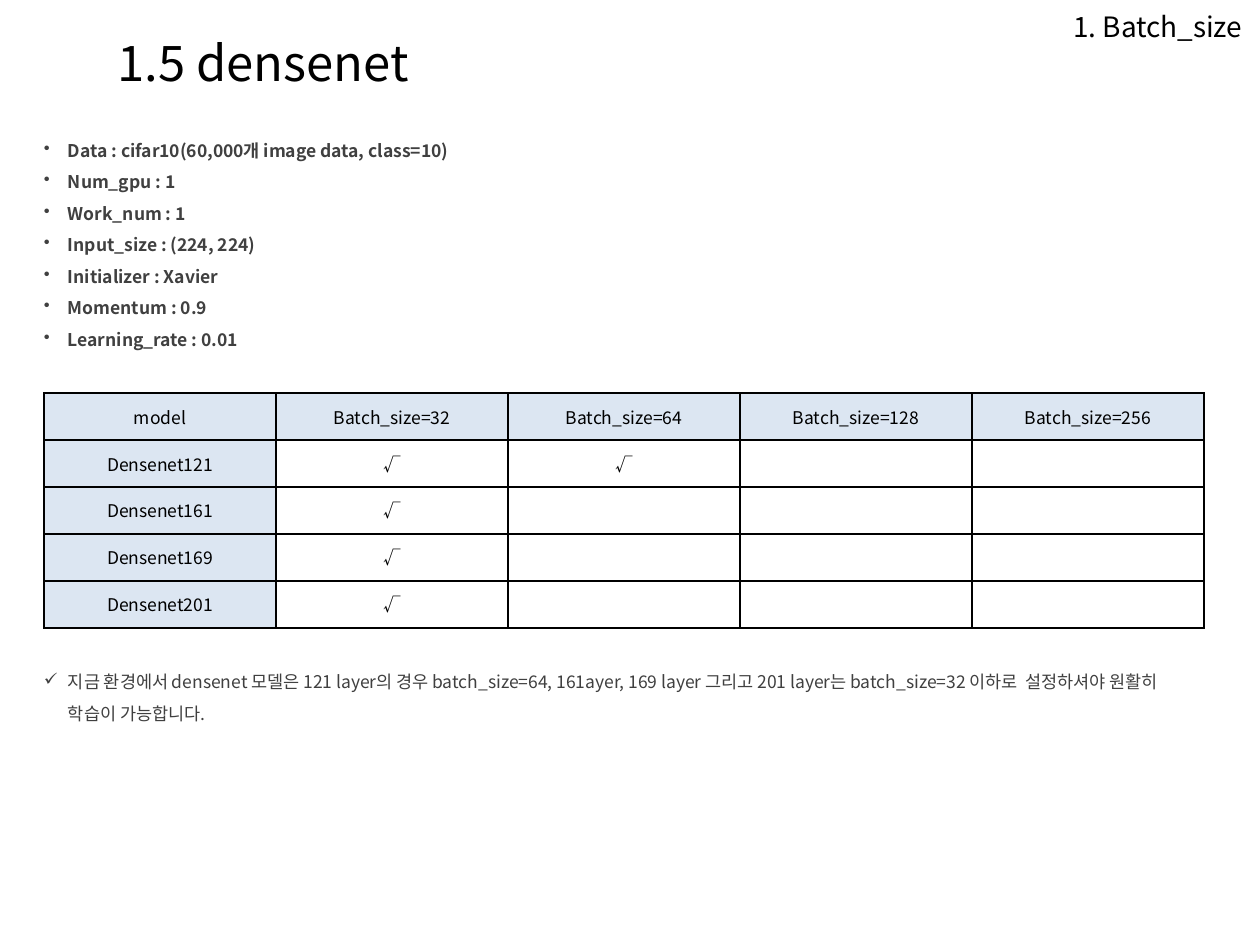
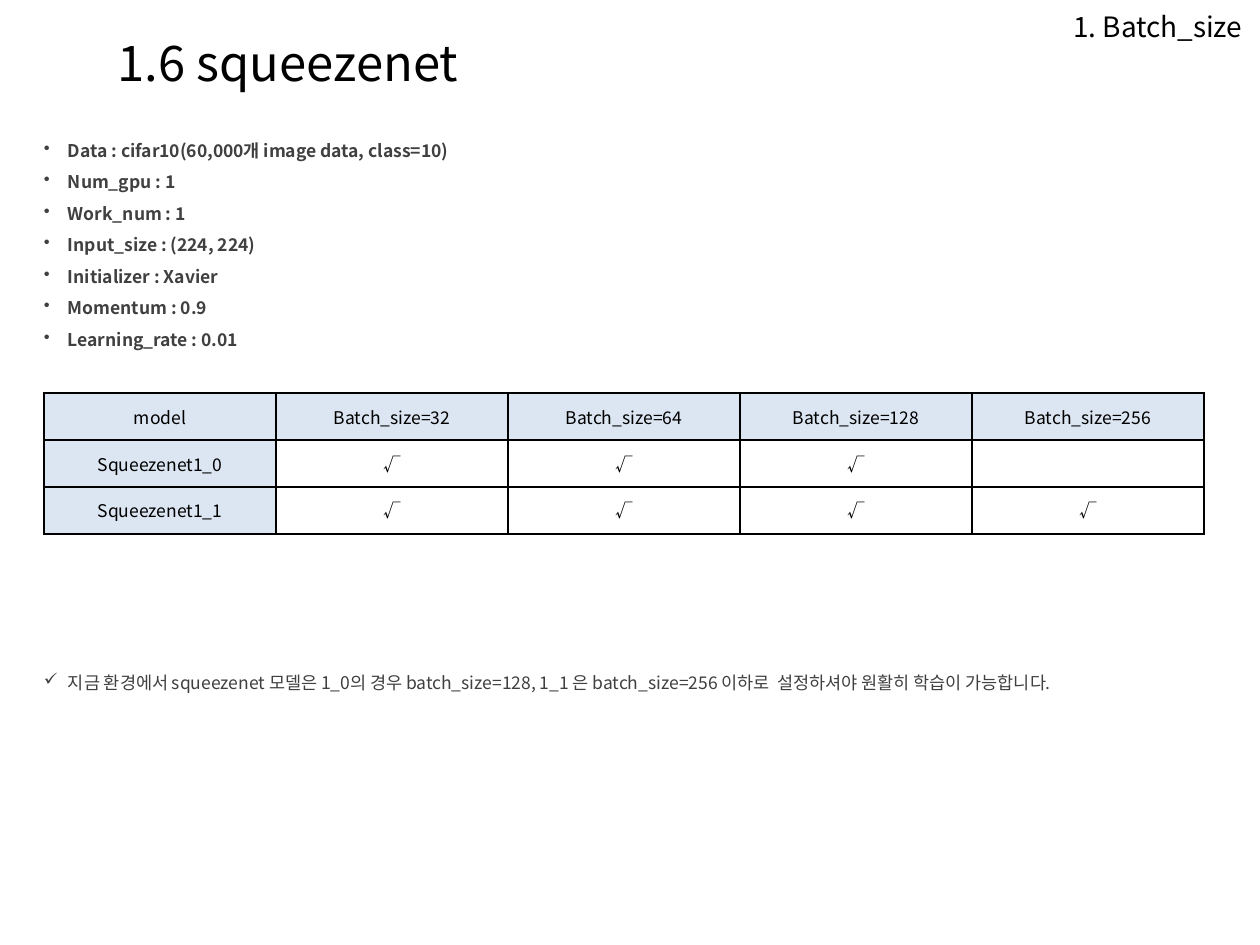
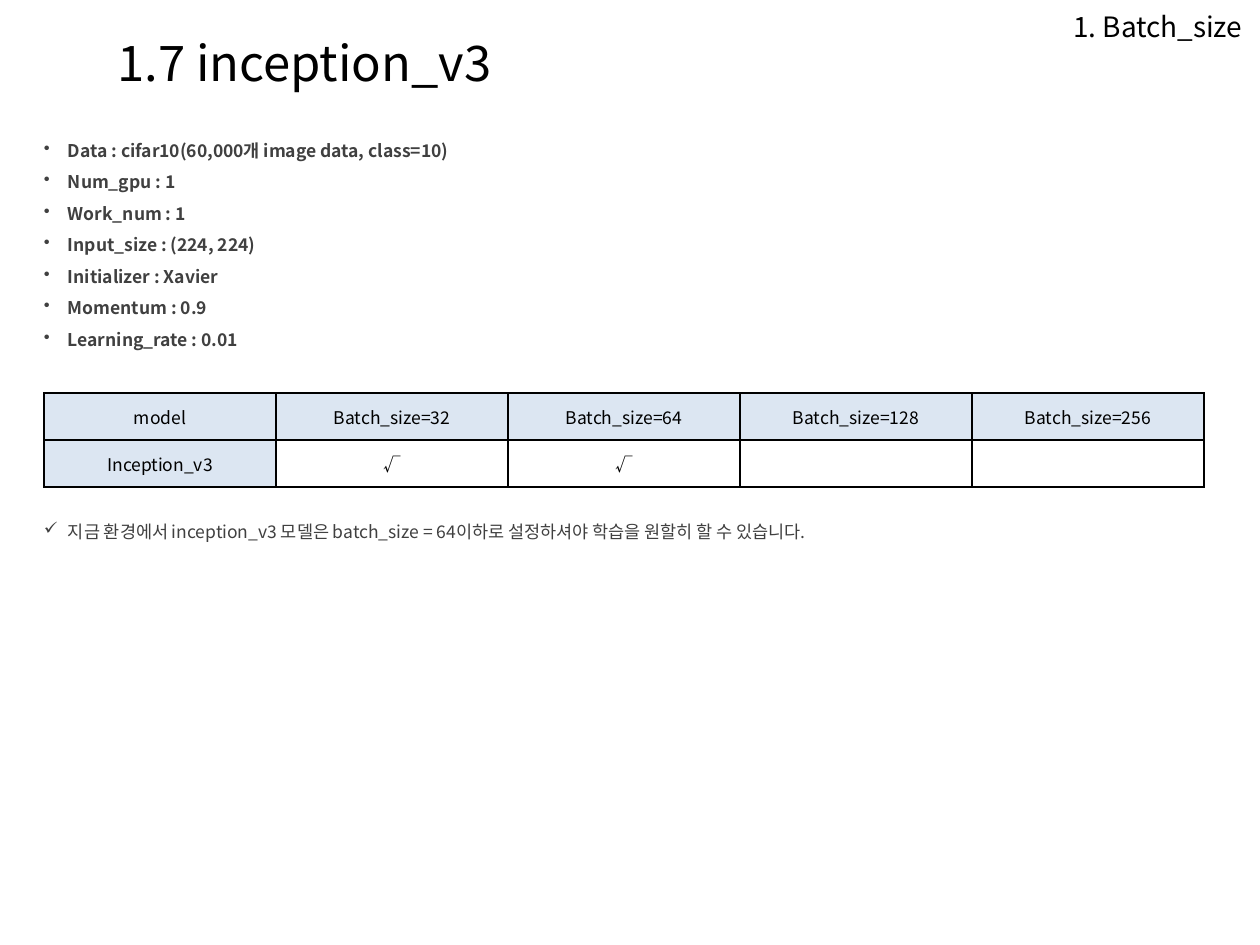
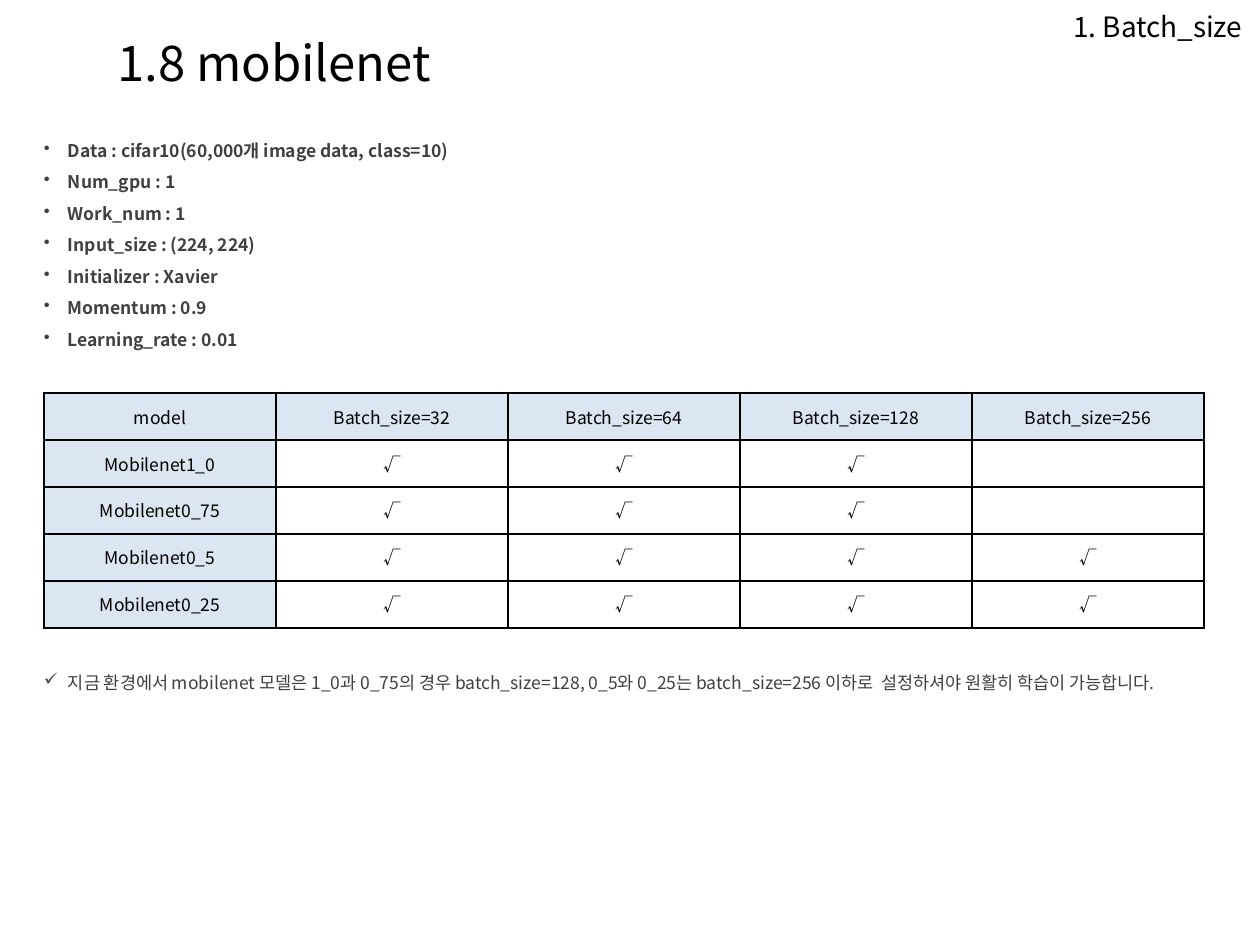
import dataclasses

import pptx
import pptx.dml.color
import pptx.enum.text
import pptx.oxml
import pptx.oxml.ns
import pptx.util

SCALE = 914400 // 126  # EMU in one pixel
ALIGN = pptx.enum.text.PP_ALIGN
ANCHOR = pptx.enum.text.MSO_ANCHOR
FIT = pptx.enum.text.MSO_AUTO_SIZE


@dataclasses.dataclass(frozen=True)
class Theme:
    """Colours, font and type sizes of the deck."""
    font: str = "Noto Sans CJK KR"
    ink: str = "000000"
    soft: str = "404040"
    tint: str = "DCE6F2"
    title: int = 28
    head: int = 16
    body: int = 10
    rule: int = 1


THEME = Theme()
LEFT, WIDE = 44, 1160
COLS, ROW = 5, 47
INDENT = 24
SIZES = (32, 64, 128, 256)
TICK = "√"
FACTS = (
    "Data : cifar10(60,000개 image data, class=10)",
    "Num_gpu : 1",
    "Work_num : 1",
    "Input_size : (224, 224)",
    "Initializer : Xavier",
    "Momentum : 0.9",
    "Learning_rate : 0.01",
)
# Each model is paired with the count of batch sizes that it can run.
PAGES = (
    dict(title="1.5 densenet", top=661, high=63,
         models=(("Densenet121", 2), ("Densenet161", 1),
                 ("Densenet169", 1), ("Densenet201", 1)),
         note="지금 환경에서 densenet 모델은 121 layer의 경우 batch_size=64, "
              "161ayer, 169 layer 그리고 201 layer는 batch_size=32 이하로  "
              "설정하셔야 원활히 학습이 가능합니다."),
    dict(title="1.6 squeezenet", top=661, high=32,
         models=(("Squeezenet1_0", 3), ("Squeezenet1_1", 4)),
         note="지금 환경에서 squeezenet 모델은 1_0의 경우 batch_size=128, "
              "1_1 은 batch_size=256 이하로  설정하셔야 원활히 학습이 가능합니다."),
    dict(title="1.7 inception_v3", top=510, high=32,
         models=(("Inception_v3", 2),),
         note="지금 환경에서 inception_v3 모델은 batch_size = 64이하로 "
              "설정하셔야 학습을 원할히 할 수 있습니다."),
    dict(title="1.8 mobilenet", top=661, high=32,
         models=(("Mobilenet1_0", 3), ("Mobilenet0_75", 3),
                 ("Mobilenet0_5", 4), ("Mobilenet0_25", 4)),
         note="지금 환경에서 mobilenet 모델은 1_0과 0_75의 경우 batch_size=128, "
              "0_5와 0_25는 batch_size=256 이하로  설정하셔야 원활히 학습이 "
              "가능합니다."),
)


def px(count):
    """Turn pixels into EMU."""
    return pptx.util.Emu(count * SCALE)


def apply(thing, values):
    """Set each named value on a thing."""
    for name, value in values.items():
        setattr(thing, name, value)


def add_node(parent, tag, **attrs):
    """Append an XML child with the given attributes."""
    node = pptx.oxml.ns.qn(tag)
    child = parent.makeelement(node, attrs)
    parent.append(child)
    return child


def write(para, text, size, color, bold=False):
    """Put one run of styled text in a paragraph."""
    run = para.add_run()
    run.text = text
    apply(run.font, dict(name=THEME.font, size=pptx.util.Pt(size), bold=bold))
    run.font.color.rgb = pptx.dml.color.RGBColor.from_string(color)
    add_node(run.font._element, "a:ea", typeface=THEME.font)


def add_box(slide, area, **frame):
    """Add a wrapping text box and return its text frame."""
    box = slide.shapes.add_textbox(*map(px, area))
    apply(box.text_frame, dict(word_wrap=True, **frame))
    return box.text_frame


def add_label(slide, area, text, size, align):
    """Add a single line of heading text."""
    frame = add_box(slide, area, vertical_anchor=ANCHOR.MIDDLE)
    para = frame.paragraphs[0]
    para.alignment = align
    write(para, text, size, THEME.ink)


def add_list(slide, area, lines, mark, bold=False):
    """Add a list with hanging marks."""
    frame = add_box(slide, area, auto_size=FIT.SHAPE_TO_FIT_TEXT,
                    margin_left=0, margin_right=0,
                    margin_top=0, margin_bottom=0)
    for place, line in enumerate(lines):
        para = frame.add_paragraph() if place else frame.paragraphs[0]
        para.line_spacing = 1.5
        props = para._p.get_or_add_pPr()
        props.set("marL", str(px(INDENT)))
        props.set("indent", str(-px(INDENT)))
        add_node(props, "a:buChar", char=mark)
        write(para, line, THEME.body, THEME.soft, bold)


def frame_cell(cell):
    """Draw the four borders of a cell."""
    props = cell._tc.get_or_add_tcPr()
    for side in "LRTB":
        line = add_node(props, f"a:ln{side}",
                        w=str(pptx.util.Pt(THEME.rule)))
        fill = add_node(line, "a:solidFill")
        add_node(fill, "a:srgbClr", val=THEME.ink)


def fill_cell(cell, text, tint):
    """Style one cell and write its text."""
    cell.vertical_anchor = ANCHOR.MIDDLE
    frame_cell(cell)
    if tint:
        cell.fill.solid()
        cell.fill.fore_color.rgb = pptx.dml.color.RGBColor.from_string(THEME.tint)
    else:
        cell.fill.background()
    para = cell.text_frame.paragraphs[0]
    para.alignment = ALIGN.CENTER
    if text:
        write(para, text, THEME.body, THEME.ink)
    else:
        add_node(para._p, "a:endParaRPr", sz=str(THEME.body * 100))


def add_grid(slide, models):
    """Add the table of models against batch sizes."""
    rows = [["model"] + [f"Batch_size={size}" for size in SIZES]]
    for name, count in models:
        rows.append([name] + [TICK if step < count else ""
                              for step in range(len(SIZES))])
    area = (LEFT, 393, WIDE, ROW * len(rows))
    table = slide.shapes.add_table(len(rows), COLS, *map(px, area)).table
    apply(table, dict(first_row=False, horz_banding=False))
    for col in table.columns:
        col.width = px(WIDE // COLS)
    for down, row in enumerate(rows):
        table.rows[down].height = px(ROW)
        for across, text in enumerate(row):
            fill_cell(table.cell(down, across), text,
                      down == 0 or across == 0)


def add_page(deck, page):
    """Build one slide about a family of models."""
    slide = deck.slides.add_slide(deck.slide_layouts[6])
    add_label(slide, (848, 6, 407, 41), "1. Batch_size", THEME.head, ALIGN.RIGHT)
    add_label(slide, (105, 26, 942, 72), page["title"], THEME.title, ALIGN.LEFT)
    add_grid(slide, page["models"])
    add_list(slide, (LEFT, 129, WIDE, 223), FACTS, "•", bold=True)
    add_list(slide, (LEFT, page["top"], WIDE, page["high"]),
             [page["note"]], "✓")


def main():
    """Build the deck and save it."""
    deck = pptx.Presentation()
    apply(deck, dict(slide_width=px(1260), slide_height=px(945)))
    for page in PAGES:
        add_page(deck, page)
    deck.save("out.pptx")


main()
